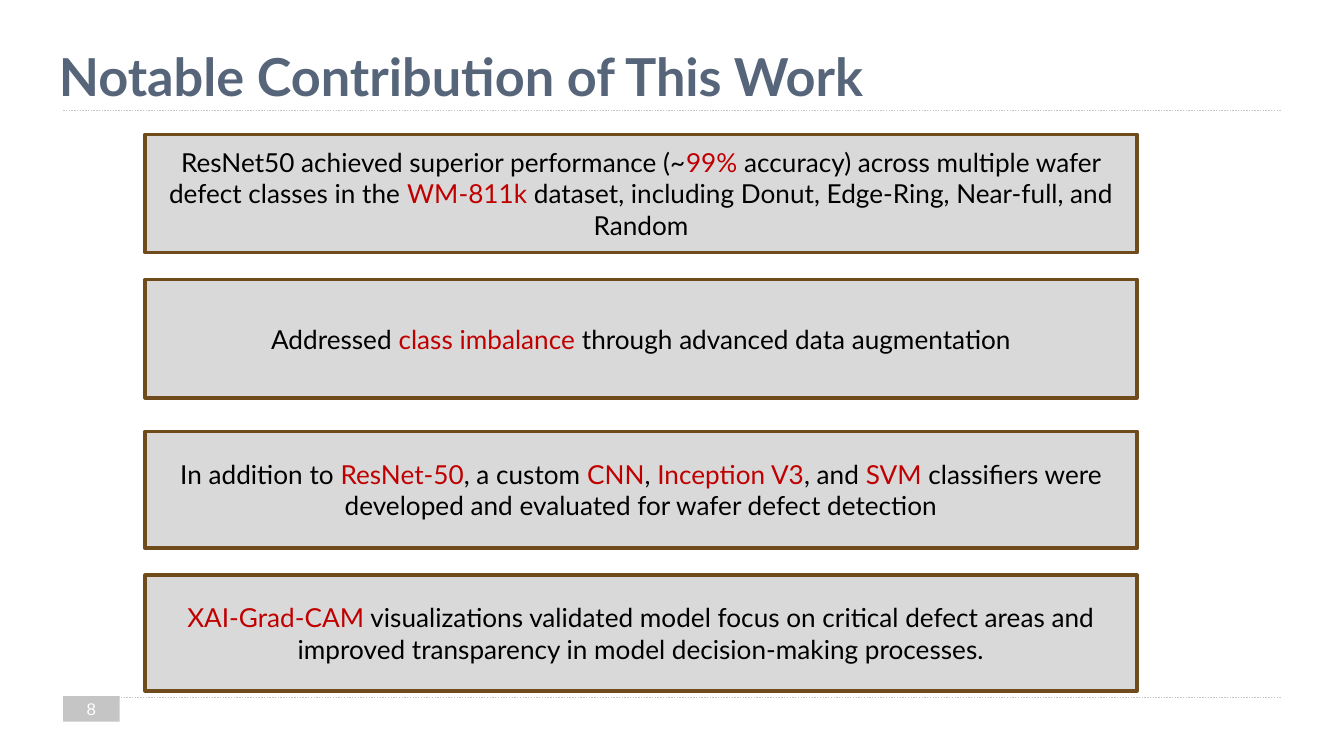
"""Build the slide that lists the notable contributions of the work."""
from lxml.etree import SubElement
from pptx import Presentation
from pptx.dml.color import RGBColor
from pptx.enum.dml import MSO_LINE
from pptx.enum.shapes import MSO_CONNECTOR, MSO_SHAPE
from pptx.enum.text import MSO_ANCHOR, PP_ALIGN
from pptx.oxml.ns import qn
from pptx.util import Inches, Pt

TITLE = "Notable Contribution of This Work"
PAGE_NUMBER = "8"
MARK = "|"
CONTRIBUTIONS = [
    (17.78, 15.64, "ResNet50 achieved superior performance (~|99%| accuracy) across multiple "
     "wafer defect classes in the |WM-811k| dataset, including Donut, Edge-Ring, "
     "Near-full, and Random"),
    (36.98, 15.64, "Addressed |class imbalance |through advanced data augmentation"),
    (57.07, 15.47, "In addition to |ResNet-50|, a custom |CNN|, |Inception V3|, and |SVM| "
     "classifiers were developed and evaluated for wafer defect detection"),
    (76.09, 15.29, "|XAI-Grad-CAM| visualizations validated model focus on critical defect "
     "areas and improved transparency in model decision-making processes."),
]
RULE_ROWS = [92.27, 14.58]

SLATE = RGBColor(0x56, 0x65, 0x79)
SILVER = RGBColor(0xC6, 0xC5, 0xC5)
PANEL = RGBColor(0xD9, 0xD9, 0xD9)
BROWN = RGBColor(0x70, 0x4B, 0x1C)
RED = RGBColor(0xC0, 0x00, 0x00)
BLACK = RGBColor(0x00, 0x00, 0x00)
WHITE = RGBColor(0xFF, 0xFF, 0xFF)

deck = Presentation()
deck.slide_width, deck.slide_height = Inches(10), Inches(5.625)
page = deck.slides.add_slide(deck.slide_layouts[6])
COLUMN, ROW = deck.slide_width / 100, deck.slide_height / 100


def place(left, top, width, height):
    return (round(left * COLUMN), round(top * ROW),
            round(width * COLUMN), round(height * ROW))


def add_rule(row):
    left, y, width, _ = place(4.7, row, 90.6, 0)
    rule = page.shapes.add_connector(MSO_CONNECTOR.STRAIGHT, left, y, left + width, y)
    rule.line.color.rgb = SILVER
    rule.line.width = Pt(0.75)
    rule.line.dash_style = MSO_LINE.ROUND_DOT
    SubElement(rule._element.spPr, qn("a:effectLst"))


def add_box(area, fill):
    box = page.shapes.add_shape(MSO_SHAPE.RECTANGLE, *place(*area))
    box.shadow.inherit = False
    box.fill.solid()
    box.fill.fore_color.rgb = fill
    box.line.fill.background()
    box.text_frame.vertical_anchor = MSO_ANCHOR.MIDDLE
    box.text_frame.paragraphs[0].alignment = PP_ALIGN.CENTER
    return box


def style(paragraph, name, size, color=None):
    paragraph.font.name = name
    paragraph.font.size = Pt(size)
    if color is not None:
        paragraph.font.color.rgb = color


def add_contribution(top, height, text):
    box = add_box((10.8, top, 73.8, height), PANEL)
    box.line.color.rgb = BROWN
    box.line.width = Pt(2)
    para = box.text_frame.paragraphs[0]
    style(para, "Lato", 14)
    for index, piece in enumerate(text.split(MARK)):
        if piece:
            span = para.add_run()
            span.text = piece
            span.font.color.rgb = RED if index % 2 else BLACK


for rule_row in RULE_ROWS:
    add_rule(rule_row)

number = add_box((4.7, 92.09, 4.2, 3.38), SILVER)
number_para = number.text_frame.paragraphs[0]
number_para.text = PAGE_NUMBER
style(number_para, "Arial", 9, WHITE)

title = page.shapes.add_textbox(*place(3.4, 4.09, 93.2, 9.07))
frame = title.text_frame
frame.word_wrap = True
frame.margin_left = frame.margin_right = frame.margin_top = frame.margin_bottom = Inches(0.1)
title_para = frame.paragraphs[0]
title_para.text = TITLE
style(title_para, "Lato", 28, SLATE)
title_para.font.bold = True

for contribution in CONTRIBUTIONS:
    add_contribution(*contribution)

deck.save("out.pptx")
